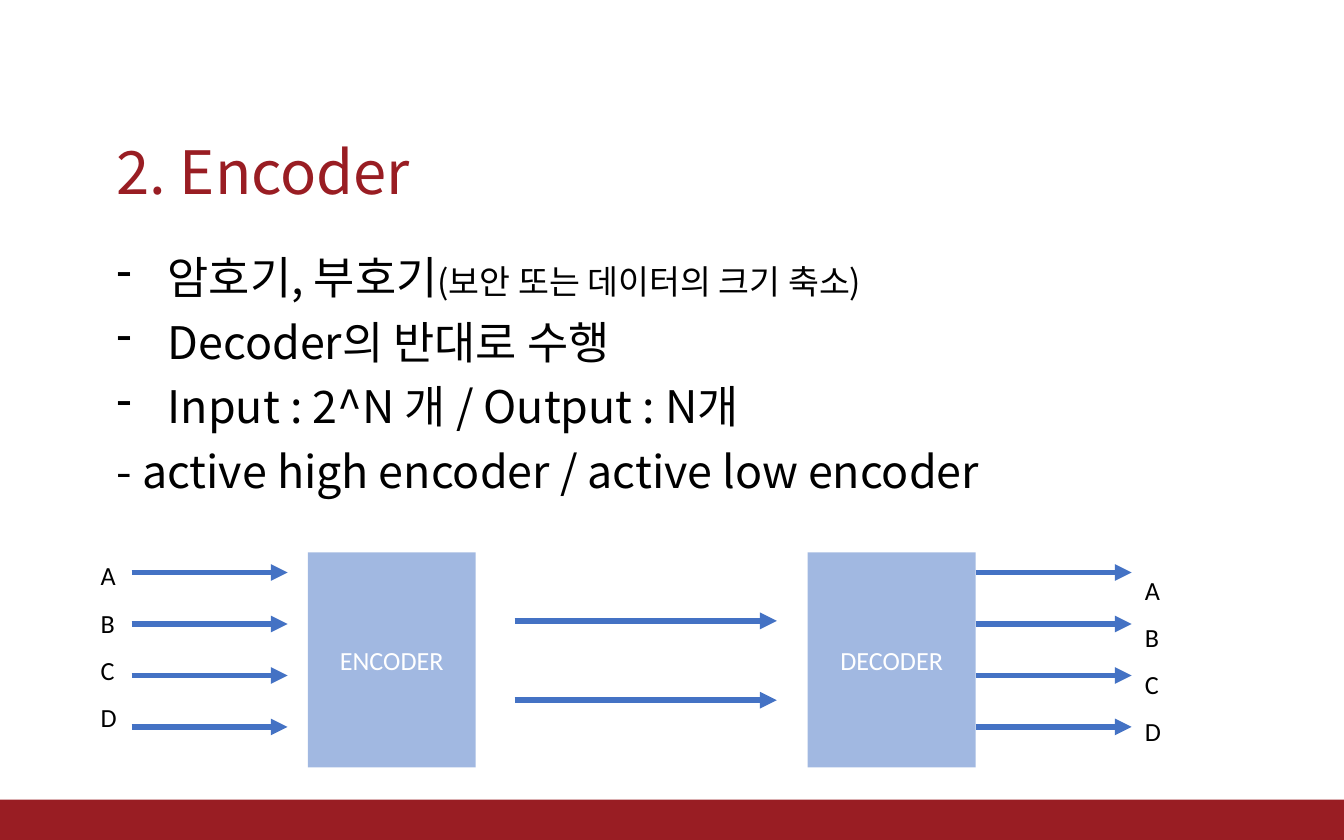
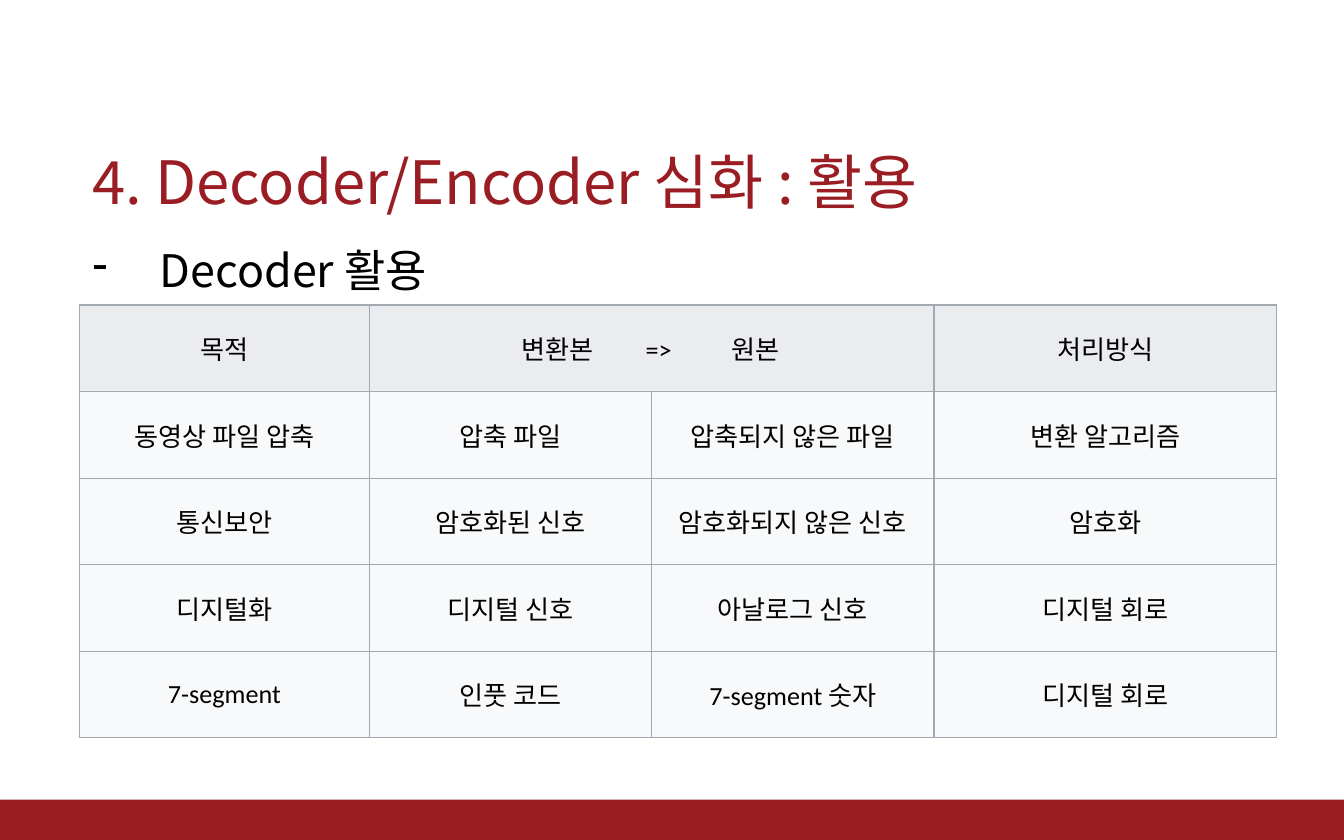
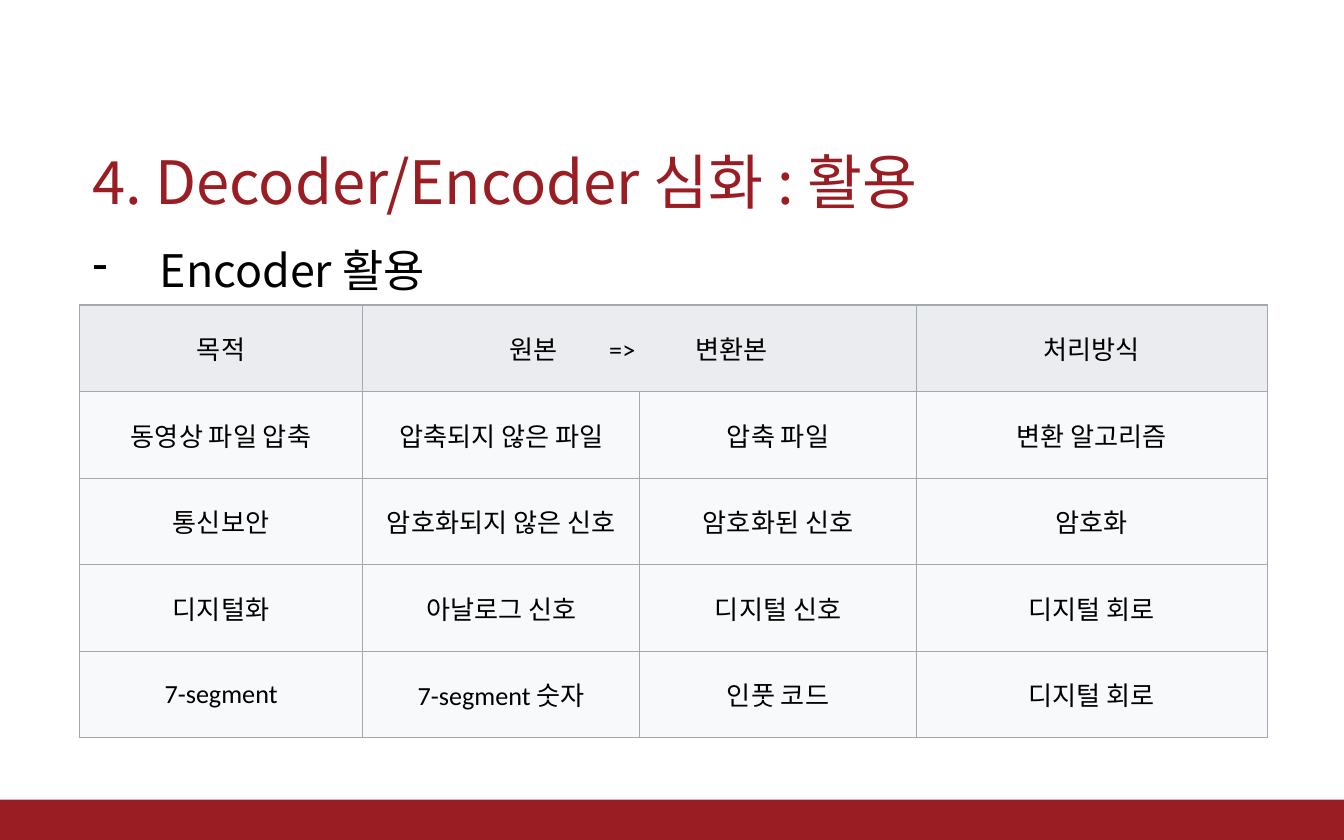
from itertools import product
from typing import NamedTuple

from lxml.etree import SubElement
from pptx import Presentation
from pptx.dml.color import RGBColor
from pptx.enum.shapes import MSO_CONNECTOR, MSO_SHAPE
from pptx.enum.text import MSO_ANCHOR, PP_ALIGN
from pptx.oxml.ns import qn
from pptx.util import Inches, Pt

WIDE, HIGH = Inches(10), Inches(6.25)
UNIT = WIDE / 100  # the grid has 100 columns and 62.5 rows of equal size

RED = RGBColor(0x99, 0x1D, 0x23)
BLUE = RGBColor(0x44, 0x72, 0xC4)
BLACK = RGBColor(0, 0, 0)
WHITE = RGBColor(0xFF, 0xFF, 0xFF)
HEAD = RGBColor(0xEA, 0xEC, 0xF0)
BODY = RGBColor(0xF8, 0xF9, 0xFA)
EDGE = "A2A9B1"

SANS, PLAIN = "Noto Sans CJK JP", "Calibri"
TITLE = {"size": Pt(32), "name": SANS, "color": RED}
LARGE = {"size": Pt(24), "name": SANS, "color": BLACK}
SMALL = LARGE | {"size": Pt(18)}
LABEL = {"size": Pt(14), "name": PLAIN, "color": BLACK}
LIGHT = LABEL | {"color": WHITE}


class Box(NamedTuple):
    left: float
    top: float
    width: float
    height: float

    def frame(self) -> list[int]:
        return [grid(part) for part in self]


class Line(NamedTuple):
    runs: list[tuple[str, dict]]
    space: float
    hang: float = 0


class Block(NamedTuple):
    name: str
    left: float


class Flow(NamedTuple):
    """Parallel arrows, evenly spaced from top to bottom."""
    left: float
    width: float
    top: float
    step: float
    count: int


class Usage(NamedTuple):
    tool: str
    cols: list[float]
    stops: list[float]
    flip: bool


BAND = Box(0, 59.5, 100, 3)
INTRO = Box(7.7, 5.3, 68.6, 32)
TOPIC = Box(5.9, 7.6, 86.2, 30.3)
LINES = [
    Line([("2. Encoder", TITLE)], 1.8),
    Line([("암호기, 부호기", LARGE), ("(보안 또는 데이터의 크기 축소)", SMALL)], 1.8, 3.8),
    Line([("Decoder의 반대로 수행", LARGE)], 1.2, 3.8),
    Line([("Input : 2^N 개 / Output : N개", LARGE)], 1.2, 3.8),
    Line([("- active high encoder / active low encoder", LARGE)], 1.2),
]
BLOCKS = [Block("ENCODER", 22.9), Block("DECODER", 60.1)]
FLOWS = [
    Flow(38.3, 19.5, 46.2, 5.9, 2),
    Flow(9.8, 11.6, 42.6, 3.83, 4),
    Flow(72.6, 11.6, 42.6, 3.83, 4),
]
PINS = [Box(6.5, 40, 3.3, 18.4), Box(84.2, 41.1, 3.3, 18.4)]

# Purpose, converted form, source form, method
ROWS = [
    ("목적", "변환본", "원본", "처리방식"),
    ("동영상 파일 압축", "압축 파일", "압축되지 않은 파일", "변환 알고리즘"),
    ("통신보안", "암호화된 신호", "암호화되지 않은 신호", "암호화"),
    ("디지털화", "디지털 신호", "아날로그 신호", "디지털 회로"),
    ("7-segment", "인풋 코드", "7-segment 숫자", "디지털 회로"),
]
USES = [
    Usage("Decoder", [21.6, 21, 21, 25.5], [13, 20.5, 27.7], False),
    Usage("Encoder", [21.1, 20.6, 20.6, 26.1], [11.7, 18.3, 26.4], True),
]


def grid(part: float) -> int:
    return round(part * UNIT)


def write(para, text: str, form: dict) -> None:
    run = para.add_run()
    run.text = text
    for key, value in form.items():
        if key == "color":
            run.font.color.rgb = value
        else:
            setattr(run.font, key, value)
    SubElement(run.font._element, qn("a:ea"), typeface=SANS)


def fill_text(slide, box: Box, lines: list[Line]) -> None:
    frame = slide.shapes.add_textbox(*box.frame()).text_frame
    frame.word_wrap = True
    for at, line in enumerate(lines):
        para = frame.add_paragraph() if at else frame.paragraphs[0]
        para.line_spacing = line.space
        for text, form in line.runs:
            write(para, text, form)
        if line.hang:
            props = para._p.get_or_add_pPr()
            props.set("marL", str(grid(line.hang)))
            props.set("indent", str(-grid(line.hang)))
            SubElement(props, qn("a:buChar"), char="-")


def add_rect(slide, box: Box, color: RGBColor):
    rect = slide.shapes.add_shape(MSO_SHAPE.RECTANGLE, *box.frame())
    rect.shadow.inherit = False
    rect.fill.solid()
    rect.fill.fore_color.rgb = color
    rect.line.fill.background()
    return rect


def add_block(slide, block: Block) -> None:
    rect = add_rect(slide, Box(block.left, 41.1, 12.5, 16), BLUE)
    tint = rect._element.spPr.find(qn("a:solidFill"))[0]
    SubElement(tint, qn("a:alpha"), val="50000")
    rect.text_frame.vertical_anchor = MSO_ANCHOR.MIDDLE
    para = rect.text_frame.paragraphs[0]
    para.alignment = PP_ALIGN.CENTER
    write(para, block.name, LIGHT)


def add_flow(slide, flow: Flow) -> None:
    for at in range(flow.count):
        high = grid(flow.top + at * flow.step)
        wire = slide.shapes.add_connector(
            MSO_CONNECTOR.STRAIGHT, grid(flow.left), high, grid(flow.left + flow.width), high)
        wire.line.color.rgb = BLUE
        wire.line.width = Pt(3)
        SubElement(wire.line._get_or_add_ln(), qn("a:tailEnd"), type="triangle")
        SubElement(wire._element.spPr, qn("a:effectLst"))


def style_cell(cell, color: RGBColor) -> None:
    props = cell._tc.get_or_add_tcPr()
    for side in "LRTB":
        edge = SubElement(props, qn(f"a:ln{side}"), w=str(Pt(0.75)))
        SubElement(SubElement(edge, qn("a:solidFill")), qn("a:srgbClr"), val=EDGE)
    cell.fill.solid()
    cell.fill.fore_color.rgb = color
    cell.vertical_anchor = MSO_ANCHOR.MIDDLE


def add_uses(slide, use: Usage) -> None:
    box = Box(5.9, 22.7, sum(use.cols), 32.2)
    table = slide.shapes.add_table(len(ROWS), len(use.cols), *box.frame()).table
    for key in ("first_row", "horz_banding"):
        setattr(table, key, False)
    for col, width in zip(table.columns, use.cols):
        col.width = grid(width)
    table.cell(0, 1).merge(table.cell(0, 2))
    for row, col in product(range(len(ROWS)), range(len(use.cols))):
        cell = table.cell(row, col)
        style_cell(cell, BODY if row else HEAD)
        goal, first, last, means = ROWS[row]
        if use.flip:
            first, last = last, first
        para = cell.text_frame.paragraphs[0]
        if row or col in (0, 3):
            para.alignment = PP_ALIGN.CENTER
            write(para, (goal, first, last, means)[col], LABEL)
        elif col == 1:
            para.alignment = PP_ALIGN.LEFT
            tabs = SubElement(para._p.get_or_add_pPr(), qn("a:tabLst"))
            for stop in use.stops:
                SubElement(tabs, qn("a:tab"), pos=str(grid(stop)), algn="ctr")
            write(para, "\t" + "\t".join((first, "=>", last)), LABEL)


def main() -> None:
    deck = Presentation()
    deck.slide_width, deck.slide_height = WIDE, HIGH

    def start(box: Box, lines: list[Line]):
        """Add a slide with the band and its leading text."""
        slide = deck.slides.add_slide(deck.slide_layouts[6])
        add_rect(slide, BAND, RED)
        fill_text(slide, box, lines)
        return slide

    slide = start(INTRO, LINES)
    for block in BLOCKS:
        add_block(slide, block)
    for flow in FLOWS:
        add_flow(slide, flow)
    for box in PINS:
        fill_text(slide, box, [Line([(name, LABEL)], 1.5) for name in "ABCD"])

    for use in USES:
        slide = start(TOPIC, [
            Line([("4. Decoder/Encoder 심화 : 활용", TITLE)], 1.5),
            Line([(f"{use.tool} 활용", LARGE)], 1.5, 5),
        ])
        add_uses(slide, use)
    deck.save("out.pptx")


if __name__ == "__main__":
    main()
